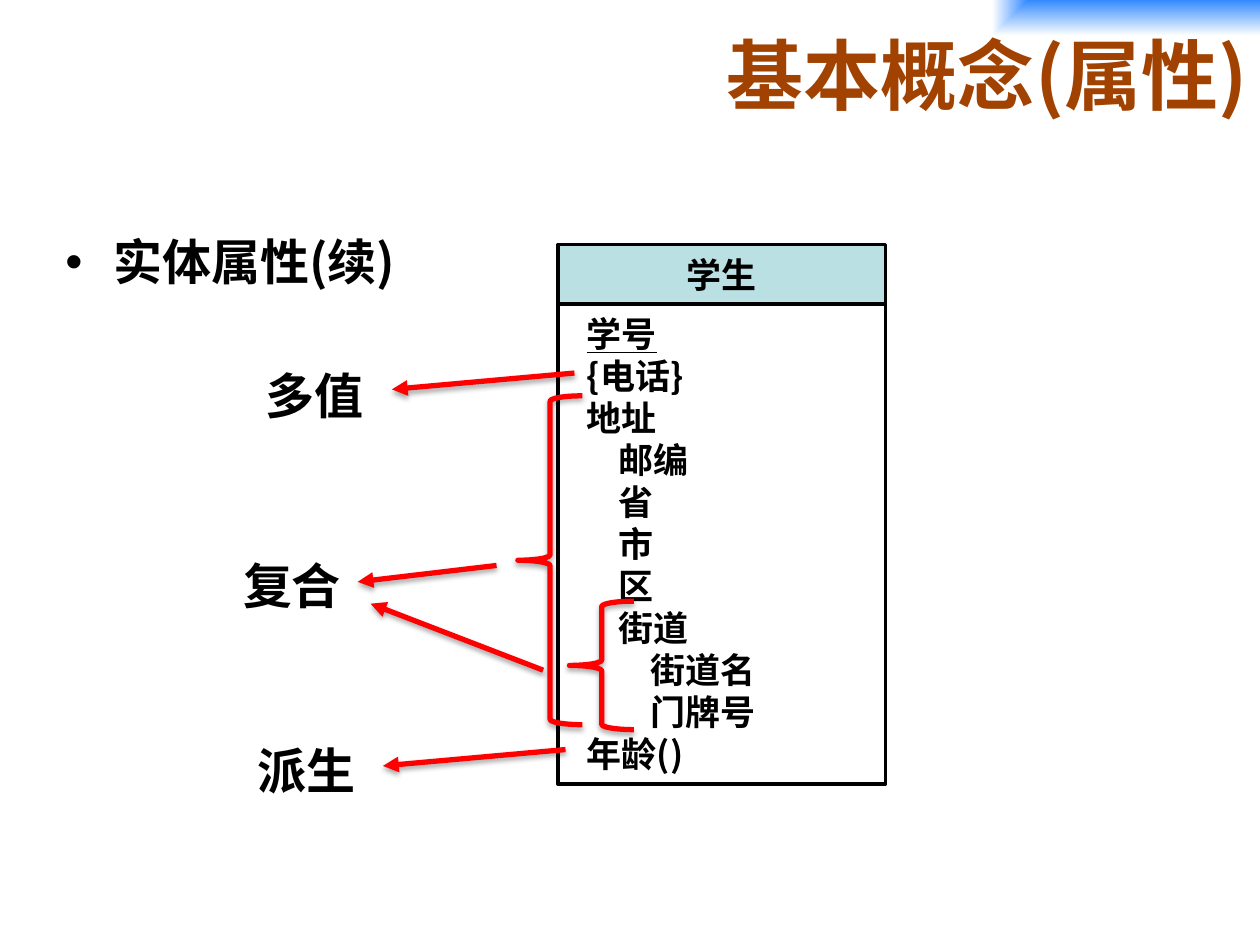
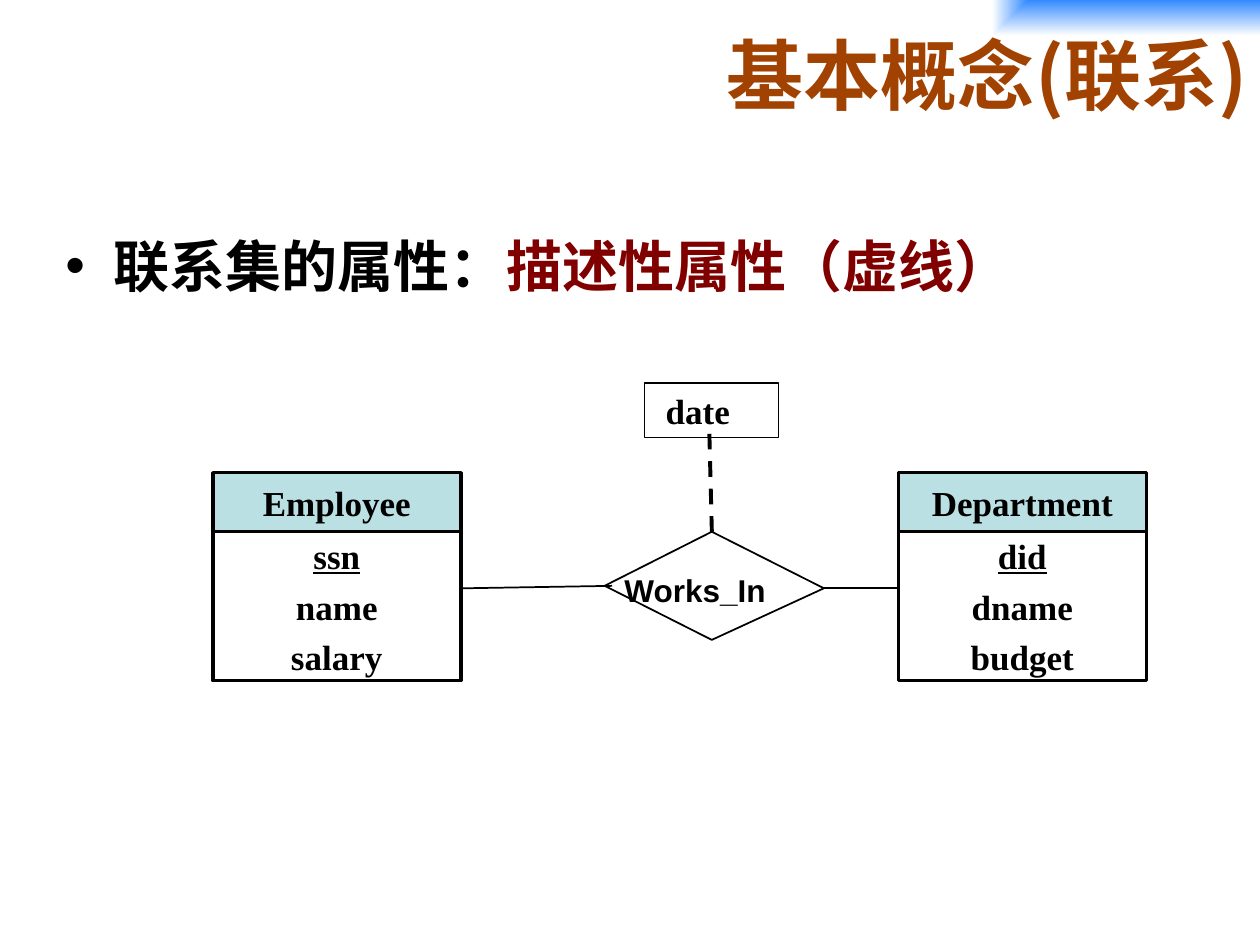
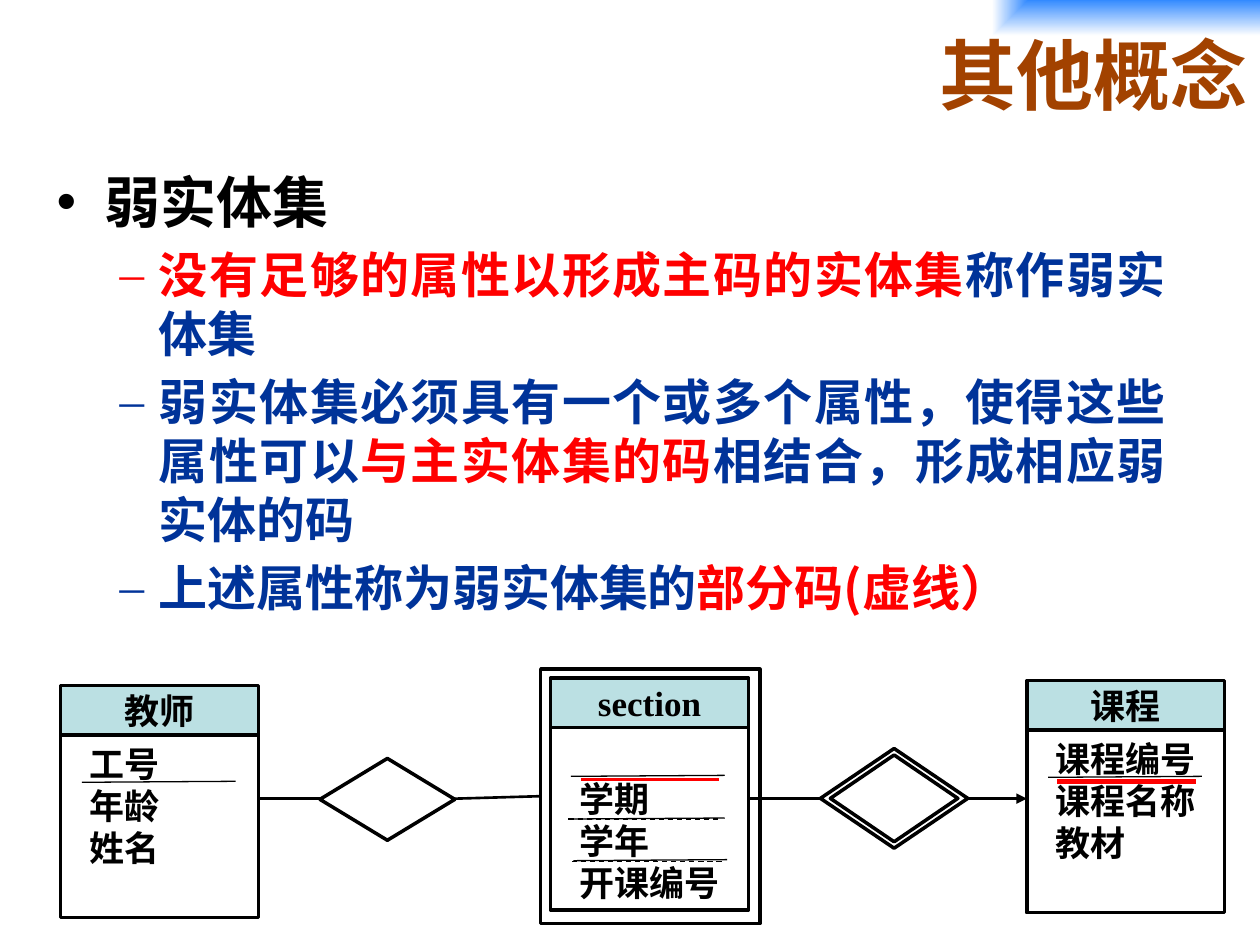
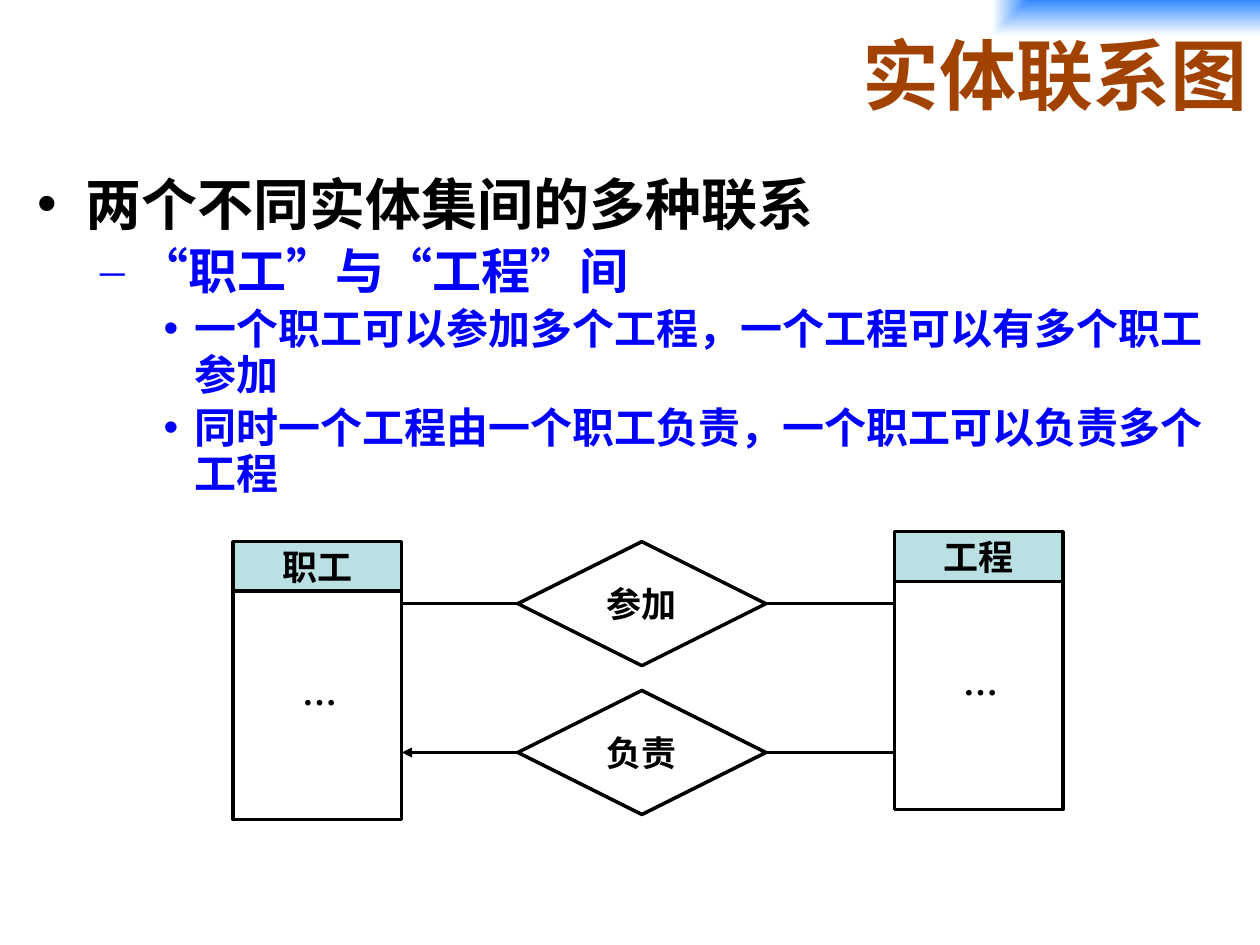
import dataclasses

import lxml.etree
import pptx
import pptx.dml.color
import pptx.enum.dml
import pptx.enum.shapes
import pptx.enum.text
import pptx.oxml
import pptx.oxml.ns
import pptx.util

Cm = pptx.util.Cm
Pt = pptx.util.Pt
SHAPES = pptx.enum.shapes.MSO_SHAPE
ALIGN = pptx.enum.text.PP_ALIGN
ANCHOR = pptx.enum.text.MSO_ANCHOR

COLOURS = {
    "ink": "000000", "paper": "FFFFFF", "title": "A24200", "band": "338AFF",
    "header": "BBE0E3", "red": "FF0000", "maroon": "800000",
    "navy": "003399", "blue": "0000FF",
}
SANS, SANS_BODY = "Noto Sans CJK SC", "Noto Sans CJK JP"
SERIF, LATIN = "Times New Roman", "Arial"
LINE_RATIO = 1.2
INDENTS = [(0.97, -0.97), (2.06, -0.79), (3.18, -0.63)]
BULLETS = "•–•"
BODY_SIZES = [32, 28, 24]


def rgb(name):
    """Return the named colour."""
    return pptx.dml.color.RGBColor.from_string(COLOURS[name])


def add_xml(parent, tag, **attributes):
    """Append a drawing element with the given attributes."""
    child = lxml.etree.SubElement(parent, pptx.oxml.ns.qn(tag))
    for key, value in attributes.items():
        child.set(key, str(value))
    return child


def add_run(paragraph, text, size, colour="ink", latin=SANS, asian=SANS, underline=False):
    """Add one bold run."""
    run = paragraph.add_run()
    run.text = text
    run.font.size = Pt(size)
    run.font.bold = True
    run.font.underline = underline
    run.font.color.rgb = rgb(colour)
    run.font.name = latin
    properties = run._r.get_or_add_rPr()
    properties.set("lang", "zh-CN")
    add_xml(properties, "a:ea", typeface=asian)


def soften(element):
    """Give a shape or connector the soft shadow of the red marks."""
    effects = add_xml(element.spPr, "a:effectLst")
    shadow = add_xml(effects, "a:outerShdw", blurRad=Pt(3.1), dist=Pt(1.8),
                     dir=5400000, rotWithShape=0)
    add_xml(add_xml(shadow, "a:srgbClr", val=COLOURS["ink"]), "a:alpha", val=35000)


@dataclasses.dataclass
class Region:
    """A part of a slide whose contents are measured in cm from its corner."""
    slide: object
    left: float
    top: float

    def place(self, x, y, width, height):
        """Turn a relative box into slide lengths."""
        return Cm(self.left + x), Cm(self.top + y), Cm(width), Cm(height)

    def style(self, outline, fill, colour, weight):
        """Set fill, line and shadow of a closed outline."""
        outline.shadow.inherit = False
        if fill:
            outline.fill.solid()
            outline.fill.fore_color.rgb = rgb(fill)
        else:
            outline.fill.background()
        outline.line.color.rgb = rgb(colour)
        outline.line.width = Pt(weight)
        return outline

    def shape(self, preset, box, fill=None, colour="ink", weight=2):
        """Add a preset shape."""
        outline = self.slide.shapes.add_shape(preset, *self.place(*box))
        return self.style(outline, fill, colour, weight)

    def polygon(self, points, weight):
        """Add an unfilled closed outline through the points."""
        corners = [(Cm(self.left + x), Cm(self.top + y)) for x, y in points]
        builder = self.slide.shapes.build_freeform(*corners[0])
        builder.add_line_segments(corners[1:], close=True)
        return self.style(builder.convert_to_shape(), None, "ink", weight)

    def line(self, x1, y1, x2, y2, weight=1.5, colour="ink", arrow=False, dashed=False):
        """Add a straight line, with an arrowhead at its end if wanted."""
        link = self.slide.shapes.add_connector(
            pptx.enum.shapes.MSO_CONNECTOR.STRAIGHT,
            Cm(self.left + x1), Cm(self.top + y1), Cm(self.left + x2), Cm(self.top + y2))
        link.line.color.rgb = rgb(colour)
        link.line.width = Pt(weight)
        if dashed:
            link.line.dash_style = pptx.enum.dml.MSO_LINE.DASH
        if arrow:
            add_xml(link.line._get_or_add_ln(), "a:tailEnd", type="triangle")
        if arrow and colour == "red":
            soften(link._element)
        else:
            add_xml(link._element.spPr, "a:effectLst")

    def text(self, box, wrap=True, anchor=ANCHOR.TOP):
        """Add a text box and return its frame."""
        frame = self.slide.shapes.add_textbox(*self.place(*box)).text_frame
        frame.word_wrap = wrap
        frame.vertical_anchor = anchor
        return frame

    def caption(self, shape, lines, gap=0):
        """Centre lines of (text, underline) inside a shape."""
        frame = shape.text_frame
        frame.word_wrap = True
        frame.vertical_anchor = ANCHOR.MIDDLE
        for number, (text, underline) in enumerate(lines):
            paragraph = frame.add_paragraph() if number else frame.paragraphs[0]
            paragraph.alignment = ALIGN.CENTER
            if number:
                paragraph.space_before = Pt(gap)
            add_run(paragraph, text, 20, latin=SERIF, underline=underline)

    def entity(self, x, y, width, header, depth, name):
        """Draw an entity set and return its attribute compartment."""
        heading = self.shape(SHAPES.RECTANGLE, (x, y, width, header), "header")
        self.caption(heading, [(name, False)])
        return self.shape(SHAPES.RECTANGLE, (x, y + header, width, depth), "paper")

    def attributes(self, x, y, rows):
        """List attributes given as (text, level, underline)."""
        frame = self.text((x, y, 4, len(rows) * 0.85 + 0.25), wrap=False)
        for number, (text, level, underline) in enumerate(rows):
            paragraph = frame.add_paragraph() if number else frame.paragraphs[0]
            paragraph._p.get_or_add_pPr().set("marL", str(Cm(level * 0.64)))
            paragraph.line_spacing = Pt(20 * LINE_RATIO)
            add_run(paragraph, text, 20, underline=underline)


def add_title(slide, title):
    """Add the corner band and the right-aligned title."""
    corner = Region(slide, 14.6, 0)
    band = corner.shape(SHAPES.RECTANGLE, (0, 0, 10.8, 1.45), "paper")
    band.line.fill.background()
    band.fill.gradient()
    gradient = band._element.spPr.find(pptx.oxml.ns.qn("a:gradFill"))
    for child in list(gradient):
        gradient.remove(child)
    stops = add_xml(gradient, "a:gsLst")
    for position, colour in ((0, "band"), (100000, "paper")):
        add_xml(add_xml(stops, "a:gs", pos=position), "a:srgbClr", val=COLOURS[colour])
    add_xml(add_xml(gradient, "a:path", path="rect"), "a:fillToRect", l=100000, b=100000)
    frame = Region(slide, 3.7, 0).text((0, 0, 21.7, 2.97), anchor=ANCHOR.MIDDLE)
    frame.paragraphs[0].alignment = ALIGN.RIGHT
    add_run(frame.paragraphs[0], title, 44, "title")


def add_points(slide, box, points, spacing=1.0, sizes=BODY_SIZES, justify=False):
    """Add bulleted points given as (level, [(text, colour), ...])."""
    left, top, width, height = box
    frame = Region(slide, left, top).text((0, 0, width, height))
    for number, (level, runs) in enumerate(points):
        paragraph = frame.add_paragraph() if number else frame.paragraphs[0]
        properties = paragraph._p.get_or_add_pPr()
        margin, hanging = INDENTS[level]
        properties.set("marL", str(Cm(margin)))
        properties.set("indent", str(Cm(hanging)))
        add_xml(add_xml(properties, "a:buClr"), "a:srgbClr", val=COLOURS[runs[0][1]])
        add_xml(properties, "a:buFont", typeface=SERIF if level == 1 else LATIN)
        add_xml(properties, "a:buChar", char=BULLETS[level])
        paragraph.alignment = ALIGN.JUSTIFY if justify and level else ALIGN.LEFT
        size = sizes[level]
        paragraph.line_spacing = Pt(size * LINE_RATIO * spacing)
        if number:
            paragraph.space_before = Pt(size * 0.2)
        for text, colour in runs:
            add_run(paragraph, text, size, colour, SANS_BODY, SANS_BODY)


def draw_student(region):
    """Draw the student entity and the kinds of its attributes."""
    region.entity(6.6, 0, 6.6, 1.2, 9.68, "学生")
    rows = [("学号", 0, True), ("{电话}", 0, False), ("地址", 0, False)]
    rows += [(part, 1, False) for part in ("邮编", "省", "市", "区", "街道")]
    rows += [("街道名", 2, False), ("门牌号", 2, False), ("年龄()", 0, False)]
    region.attributes(6.93, 1.24, rows)
    for kind, x, y in (("多值", 0.46, 2.31), ("复合", 0, 6.14), ("派生", 0.3, 9.88)):
        paragraph = region.text((x, y, 2.8, 1.45)).paragraphs[0]
        paragraph.line_spacing = Pt(28 * LINE_RATIO)
        add_run(paragraph, kind, 28, latin=SANS_BODY, asian=SANS_BODY)
    for ends in ((6.93, 2.59, 3.25, 2.92), (5.36, 6.47, 2.56, 6.8),
                 (6.75, 10.18, 3.07, 10.51), (6.3, 8.58, 2.82, 7.24)):
        region.line(*ends, weight=3, colour="red", arrow=True)
    for box in ((5.79, 3.05, 1.3, 6.63), (6.83, 7.19, 1.3, 2.59)):
        brace = region.shape(SHAPES.LEFT_BRACE, box, colour="red", weight=3)
        brace._element.spPr.remove(brace._element.spPr.find(pptx.oxml.ns.qn("a:effectLst")))
        soften(brace._element)


def draw_works_in(region):
    """Draw the relationship with its descriptive attribute."""
    region.polygon([(7.9, 4.09), (10.06, 3), (12.32, 4.14), (10.06, 5.18)], 1)
    name = region.text((8.05, 3.66, 3.66, 1.02), wrap=False).paragraphs[0]
    add_run(name, "Works_In", 18, latin=LATIN)
    region.line(8.05, 4.09, 5, 4.14, weight=1)
    region.line(12.32, 4.14, 13.82, 4.14, weight=1)
    for x, entity, fields in ((0, "Employee", ("ssn", "name", "salary")),
                              (13.82, "Department", ("did", "dname", "budget"))):
        compartment = region.entity(x, 1.81, 5, 1.19, 3, entity)
        region.caption(compartment, [(field, field == fields[0]) for field in fields], gap=5)
    region.line(10.06, 3, 10.01, 1.02, weight=2.25, dashed=True)
    date = region.shape(SHAPES.RECTANGLE, (8.71, 0, 2.7, 1.1), weight=0.75)
    date.text_frame.margin_left = Cm(0.42)
    date.text_frame.vertical_anchor = ANCHOR.MIDDLE
    date.text_frame.paragraphs[0].alignment = ALIGN.LEFT
    add_run(date.text_frame.paragraphs[0], "date", 20, latin=SERIF)


def draw_weak_entity(region):
    """Draw the weak entity set between its neighbours."""
    region.shape(SHAPES.RECTANGLE, (9.68, 0, 4.42, 5.13), "paper")
    for x, y, drop, entity, fields in (
            (0, 0.33, 0.03, "教师", ("工号", "年龄", "姓名")),
            (9.88, 0.18, 0.88, "section", ("学期", "学年", "开课编号")),
            (19.48, 0.23, 0.03, "课程", ("课程编号", "课程名称", "教材"))):
        region.entity(x, y, 3.99, 1, 3.68, entity)
        region.attributes(x + 0.33, y + 1 + drop, [(field, 0, False) for field in fields])
    region.shape(SHAPES.DIAMOND, (5.23, 1.8, 2.72, 1.65))
    region.line(3.99, 2.61, 5.23, 2.61)
    region.line(7.95, 2.61, 9.68, 2.56)
    region.line(13.87, 2.61, 15.32, 2.61)
    region.line(18.29, 2.61, 19.48, 2.61, arrow=True)
    for box in ((15.32, 1.6, 2.97, 2.01), (15.52, 1.73, 2.57, 1.75)):
        region.shape(SHAPES.FLOWCHART_DECISION, box, "paper")
    region.line(10.49, 2.23, 13.28, 2.23, weight=1.5, colour="red")
    region.line(20.09, 2.26, 22.88, 2.26, weight=3, colour="red")
    for x, y in ((0.43, 2.28), (10.29, 2.16), (10.29, 3.02), (10.34, 3.86), (19.91, 2.18)):
        region.line(x, y, x + 3.1, y - 0.02, weight=0.75)
    for x, y in ((10.24, 3.02), (10.31, 3.87)):
        region.line(x, y, x + 3.08, y, weight=0.75, dashed=True)


def draw_staff_project(region):
    """Draw two relationships between the same two entity sets."""
    for x, y, entity in ((0, 0.2, "职工"), (13.33, 0, "工程")):
        region.entity(x, y, 3.4, 1, 4.6, entity)
        region.attributes(x + 1.15, y + 2.7, [("…", 0, False)])
    for number, relationship in enumerate(("参加", "负责")):
        y = 0.2 + number * 3
        middle = y + 1.25
        decision = region.shape(SHAPES.FLOWCHART_DECISION, (5.74, y, 5, 2.5), "paper")
        region.caption(decision, [(relationship, False)])
        region.line(5.74, middle, 3.4, middle, arrow=number == 1)
        region.line(10.74, middle, 13.33, middle)


def main():
    """Build the four slides and save them."""
    deck = pptx.Presentation()
    deck.slide_width, deck.slide_height = Cm(25.4), Cm(19.05)

    def new_slide(title):
        """Start a titled slide."""
        slide = deck.slides.add_slide(deck.slide_layouts[6])
        add_title(slide, title)
        return slide

    slide = new_slide("基本概念(属性)")
    add_points(slide, (1.07, 4.55, 22.63, 2.7), [(0, [("实体属性(续)", "ink")])], sizes=[28])
    draw_student(Region(slide, 4.65, 4.93))

    slide = new_slide("基本概念(联系)")
    add_points(slide, (1.07, 4.55, 22.63, 2.7),
               [(0, [("联系集的属性：", "ink"), ("描述性属性（虚线）", "maroon")])])
    draw_works_in(Region(slide, 4.29, 7.72))

    slide = new_slide("其他概念")
    add_points(slide, (0.89, 3.25, 22.86, 9.9), [
        (0, [("弱实体集", "ink")]),
        (1, [("没有足够的属性以形成主码的实体集", "red"), ("称作弱实体集", "navy")]),
        (1, [("弱实体集必须具有一个或多个属性，使得这些属性可以", "navy"),
             ("与主实体集的码", "red"), ("相结合，形成相应弱实体的码", "navy")]),
        (1, [("上述属性称为弱实体集的", "navy"), ("部分码(虚线）", "red")]),
    ], justify=True)
    draw_weak_entity(Region(slide, 1.22, 13.49))

    slide = new_slide("实体联系图")
    add_points(slide, (0.5, 3.43, 24.6, 6.6), [
        (0, [("两个不同实体集间的多种联系", "ink")]),
        (1, [("“职工”与“工程”间", "blue")]),
        (2, [("一个职工可以参加多个工程，一个工程可以有多个职工参加", "blue")]),
        (2, [("同时一个工程由一个职工负责，一个职工可以负责多个工程", "blue")]),
    ], spacing=0.9)
    draw_staff_project(Region(slide, 4.7, 10.72))

    deck.save("out.pptx")


if __name__ == "__main__":
    main()
